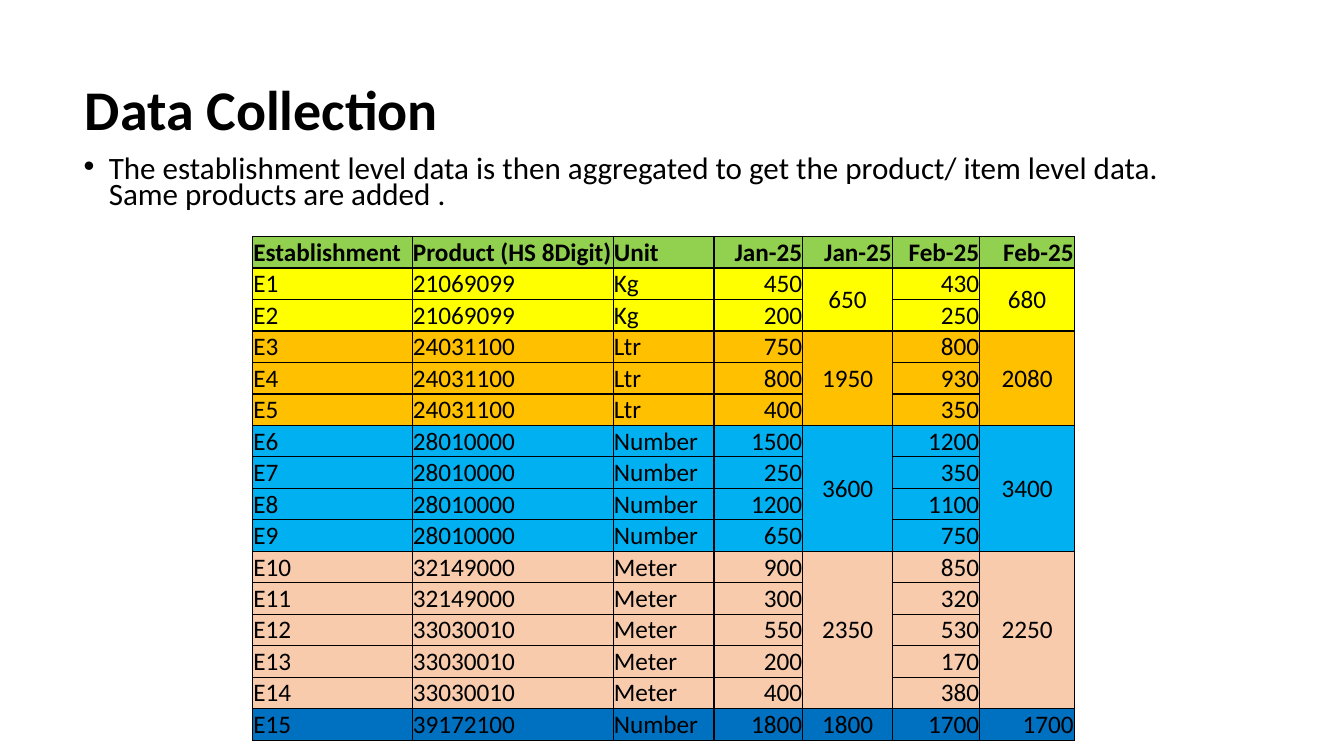
from dataclasses import dataclass

import pptx
import pptx.dml.color
import pptx.enum.text
import pptx.oxml
import pptx.oxml.ns
import pptx.util

PX = 6350  # EMU per px, 144 px to the inch
RGB = pptx.dml.color.RGBColor
ALIGN = pptx.enum.text.PP_ALIGN
ANCHOR = pptx.enum.text.MSO_ANCHOR

FONT = "Calibri"
BLACK = RGB(0x00, 0x00, 0x00)
GREEN = RGB(0x92, 0xD0, 0x50)
YELLOW = RGB(0xFF, 0xFF, 0x00)
AMBER = RGB(0xFF, 0xC0, 0x00)
SKY = RGB(0x00, 0xB0, 0xF0)
PEACH = RGB(0xF8, 0xCB, 0xAD)
BLUE = RGB(0x00, 0x70, 0xC0)

HEADERS = ["Establishment", "Product (HS 8Digit)", "Unit",
           "Jan-25", "Jan-25", "Feb-25", "Feb-25"]
COL_WIDTHS = [228, 287, 144, 127, 128, 125, 135]
ROW_HEIGHT = 44
JAN_TOTAL, FEB_TOTAL = 4, 6


@dataclass
class Group:
    """Establishments sharing a unit, with (product, January, February) rows."""
    unit: str
    fill: RGB
    rows: list[tuple[str, int, int]]


GROUPS = [
    Group("Kg", YELLOW, [("21069099", 450, 430), ("21069099", 200, 250)]),
    Group("Ltr", AMBER, [("24031100", 750, 800), ("24031100", 800, 930),
                         ("24031100", 400, 350)]),
    Group("Number", SKY, [("28010000", 1500, 1200), ("28010000", 250, 350),
                          ("28010000", 1200, 1100), ("28010000", 650, 750)]),
    Group("Meter", PEACH, [("32149000", 900, 850), ("32149000", 300, 320),
                           ("33030010", 550, 530), ("33030010", 200, 170),
                           ("33030010", 400, 380)]),
    Group("Number", BLUE, [("39172100", 1800, 1700)]),
]


def px(n: int) -> pptx.util.Emu:
    return pptx.util.Emu(n * PX)


def format_runs(p, size: float, bold: bool = False) -> None:
    for r in p.runs:
        r.font.name = FONT
        r.font.size = pptx.util.Pt(size)
        r.font.bold = bold
        r.font.color.rgb = BLACK


def fill_placeholder(sp, box: tuple[int, int, int, int], text: str,
                     size: float, spacing: float, bold: bool = False):
    sp.left, sp.top, sp.width, sp.height = map(px, box)
    tf = sp.text_frame
    tf.text = text
    tf.word_wrap = True
    tf.auto_size = pptx.enum.text.MSO_AUTO_SIZE.NONE
    p = tf.paragraphs[0]
    p.alignment = ALIGN.LEFT
    p.line_spacing = spacing
    format_runs(p, size, bold)
    return p


def add_borders(cell) -> None:
    tcPr = cell._tc.get_or_add_tcPr()
    for side in ("lnL", "lnR", "lnT", "lnB"):
        tcPr.append(pptx.oxml.parse_xml(
            f'<a:{side} {pptx.oxml.ns.nsdecls("a")} w="12700"><a:solidFill>'
            f'<a:srgbClr val="{BLACK}"/></a:solidFill></a:{side}>'))


def style_cell(cell, fill: RGB, align, text: str = "", bold: bool = False) -> None:
    cell.margin_left = cell.margin_right = cell.margin_top = px(1)
    cell.margin_bottom = 0
    cell.vertical_anchor = ANCHOR.BOTTOM
    add_borders(cell)
    cell.fill.solid()
    cell.fill.fore_color.rgb = fill
    if text:
        cell.text_frame.text = text
        p = cell.text_frame.paragraphs[0]
        p.alignment = align
        format_runs(p, 18, bold)


def add_group(table, first: int, group: Group) -> None:
    count = len(group.rows)
    jan_sum = sum(jan for _, jan, _ in group.rows)
    feb_sum = sum(feb for _, _, feb in group.rows)
    for i, (product, jan, feb) in enumerate(group.rows):
        row = first + i
        totals = (jan_sum, feb_sum) if i == 0 else ("", "")
        values = [f"E{row}", product, group.unit, jan, totals[0], feb, totals[1]]
        for col, value in enumerate(values):
            centred = col == JAN_TOTAL or (col == FEB_TOTAL and count > 1)
            align = ALIGN.CENTER if centred else ALIGN.RIGHT if col > 2 else ALIGN.LEFT
            style_cell(table.cell(row, col), group.fill, align, str(value))
    if count > 1:
        for col in (JAN_TOTAL, FEB_TOTAL):
            top = table.cell(first, col)
            top.merge(table.cell(first + count - 1, col))
            top.vertical_anchor = ANCHOR.MIDDLE


def add_data_table(s) -> None:
    n_rows = 1 + sum(len(g.rows) for g in GROUPS)
    table = s.shapes.add_table(n_rows, len(HEADERS), px(361), px(338),
                               px(sum(COL_WIDTHS)), px(n_rows * ROW_HEIGHT)).table
    table.first_row = table.horz_banding = False
    for column, width in zip(table.columns, COL_WIDTHS):
        column.width = px(width)
    for row in table.rows:
        row.height = px(ROW_HEIGHT)
    for col, header in enumerate(HEADERS):
        align = ALIGN.RIGHT if col > 2 else ALIGN.LEFT
        style_cell(table.cell(0, col), GREEN, align, header, bold=True)
    first = 1
    for group in GROUPS:
        add_group(table, first, group)
        first += len(group.rows)


def main() -> None:
    prs = pptx.Presentation()
    prs.slide_width, prs.slide_height = px(1920), px(1080)
    s = prs.slides.add_slide(prs.slide_layouts[1])

    # Title
    fill_placeholder(s.shapes.title, (107, 96, 1354, 128), "Data Collection",
                     40, 0.9, bold=True)
    s.shapes.title.text_frame.vertical_anchor = ANCHOR.MIDDLE

    # Bulleted explanation
    p = fill_placeholder(
        s.placeholders[1], (105, 219, 1619, 88),
        "The establishment level data is then aggregated to get the product/ "
        "item level data. Same products are added .", 22.2, 0.7)
    p.space_before = pptx.util.Pt(10)
    pPr = p._p.get_or_add_pPr()
    pPr.set("marL", str(px(36)))
    pPr.set("indent", str(px(-36)))

    # Establishment data with totals per group
    add_data_table(s)

    prs.save("out.pptx")


if __name__ == "__main__":
    main()
